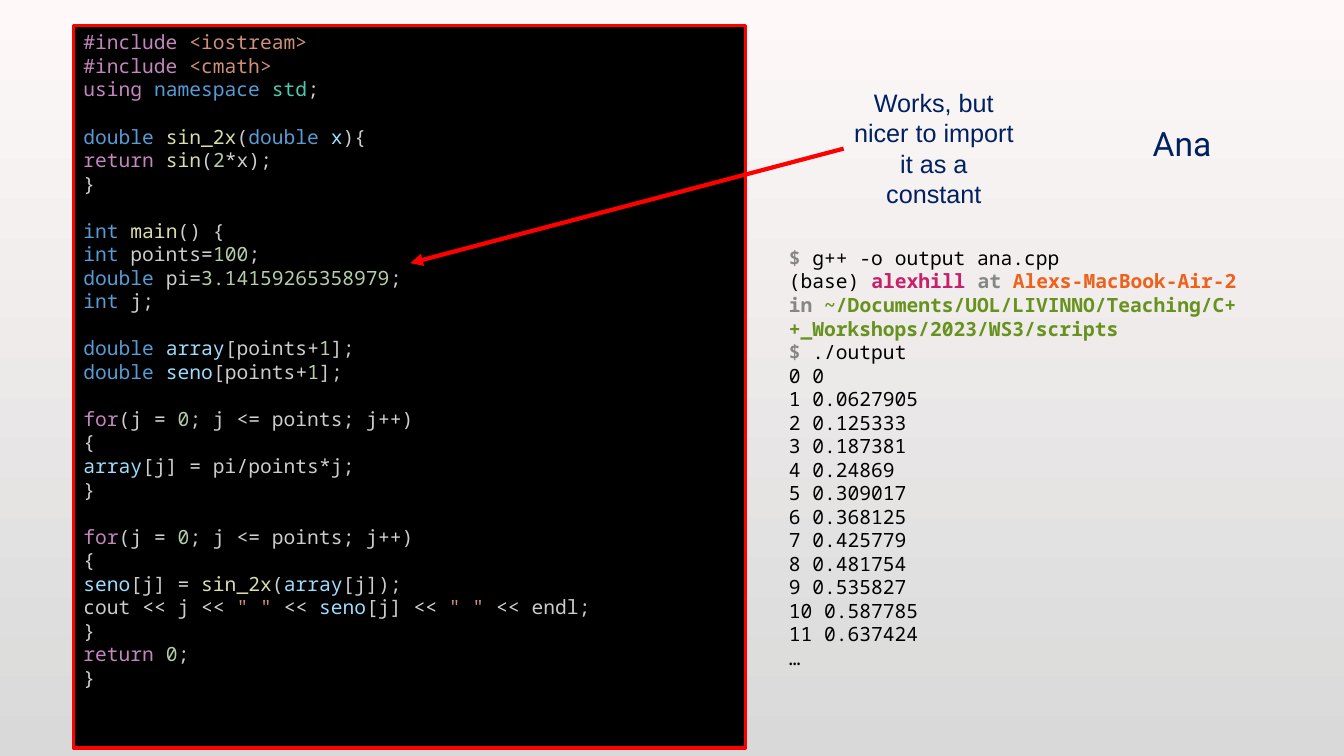
from lxml import etree
from pptx import Presentation, util as u
from pptx.dml.color import RGBColor
from pptx.enum import shapes, text
from pptx.oxml.ns import qn

Cm, Pt = u.Cm, u.Pt
MONO = "Noto Sans Mono"
GAP = Pt(16.8)  # height of one code line

# Each piece of code starts with the one-letter key of its colour.
HUES = {
    "k": "C586C0", "t": "569CD6", "f": "DCDCAA", "v": "9CDCFE",
    "n": "B5CEA8", "s": "CE9178", "c": "4EC9B0", "o": "D4D4D4",
    "p": "CCCCCC",
    "g": "868686", "b": "000000", "u": "C7206A", "h": "ED611B",
    "d": "67921D",
    "navy": "002060", "red": "FF0000", "top": "FEF9F8", "low": "D9D9D9",
}
BOLD = "guhd"

LOOP = "kfor|p(j |o= |n0|p; j |o<=|p points; j|o++|p)"
SIZE = "p[points|o+|n1|p];"
CODE = [
    ["k#include |s<iostream>",
     "k#include |s<cmath>",
     "kusing |tnamespace |cstd|p;"],
    ["tdouble |fsin_2x|p(|tdouble |vx|p){",
     "kreturn |fsin|p(|n2|o*|px);",
     "p}"],
    ["tint |fmain|p() {",
     "tint|p points|o=|n100|p;",
     "tdouble|p pi|o=|n3.14159265358979|p;",
     "tint|p j;"],
    ["tdouble |varray|" + SIZE,
     "tdouble |vseno|" + SIZE],
    [LOOP,
     "p{",
     "varray|p[j] |o=|p pi|o/|ppoints|o*|pj;",
     "p}"],
    [LOOP,
     "p{",
     "vseno|p[j] |o= |fsin_2x|p(|varray|p[j]);",
     'pcout |o<<|p j |o<< |s" " |o<< |vseno|p[j] |o<< |s" " |o<< |pendl;',
     "p}",
     "kreturn |n0|p;",
     "p}"],
]

SINES = ["0", "0.0627905", "0.125333", "0.187381", "0.24869", "0.309017",
         "0.368125", "0.425779", "0.481754", "0.535827", "0.587785",
         "0.637424"]
SHELL = [
    "g$ |bg++ -o output ana.cpp",
    "b(base) |ualexhill |gat |hAlexs-MacBook-Air-2 |gin "
    "|d~/Documents/UOL/LIVINNO/Teaching/C++_Workshops/2023/WS3/scripts",
    "g$ |b./output",
    *[f"b{j} {sine}" for j, sine in enumerate(SINES)],
    "b…",
]


def hue(key):
    return RGBColor.from_string(HUES[key])


def write(frame, blocks):
    """Fill a frame with coloured code, one line apart between blocks."""
    frame.word_wrap = True
    frame.vertical_anchor = text.MSO_ANCHOR.TOP
    para = None
    for block in blocks:
        for row, line in enumerate(block):
            first = para is None
            para = frame.paragraphs[0] if first else frame.add_paragraph()
            para.alignment = text.PP_ALIGN.LEFT
            if row == 0 and not first:
                para.space_before = GAP
            para.font.name, para.font.size = MONO, Pt(14)
            for piece in line.split("|"):
                run = para.add_run()
                run.text = piece[1:]
                run.font.color.rgb = hue(piece[0])
                if piece[0] in BOLD:
                    run.font.bold = True


prs = Presentation()
prs.slide_width, prs.slide_height = Cm(33.87), Cm(19.05)
slide = prs.slides.add_slide(prs.slide_layouts[6])

# Background
fill = slide.background.fill
fill.gradient()
fill.gradient_angle = 270
for stop, key in zip(fill.gradient_stops, ("top", "low")):
    stop.color.rgb = hue(key)
for stop, place in zip(fill.gradient_stops, (0, 1)):
    stop.position = place

# Code panel
panel = slide.shapes.add_shape(
    shapes.MSO_SHAPE.RECTANGLE, Cm(1.85), Cm(0.64), Cm(16.94), Cm(18.21))
panel.shadow.inherit = False
panel.fill.solid()
panel.fill.fore_color.rgb = hue("b")
panel.line.color.rgb = hue("red")
panel.line.width = Pt(2.5)
write(panel.text_frame, CODE)

# Terminal output
shell = slide.shapes.add_textbox(Cm(19.63), Cm(6.07), Cm(12.37), Cm(11.63))
write(shell.text_frame, [SHELL])

# Author and remark
for words, box, font, size, align in (
    ("Ana", (28.8, 2.97, 4.42, 1.27), "Roboto", 24, text.PP_ALIGN.LEFT),
    ("Works, but nicer to import it as a constant",
     (21.26, 2.08, 4.55, 3.33), "Arial", 18, text.PP_ALIGN.CENTER),
):
    label = slide.shapes.add_textbox(*map(Cm, box))
    label.text_frame.word_wrap = True
    para = label.text_frame.paragraphs[0]
    para.text = words
    para.alignment = align
    para.font.name, para.font.size = font, Pt(size)
    para.font.color.rgb = hue("navy")

# Arrow from the remark to the line that sets pi
arrow = slide.shapes.add_connector(
    shapes.MSO_CONNECTOR.STRAIGHT, Cm(21.26), Cm(3.75), Cm(10.34), Cm(6.63))
arrow.begin_connect(label, 1)
arrow.line.color.rgb = hue("red")
arrow.line.width = Pt(3)
etree.SubElement(arrow.line._get_or_add_ln(), qn("a:tailEnd"), type="triangle")
etree.SubElement(arrow._element.spPr, qn("a:effectLst"))

prs.save("out.pptx")
